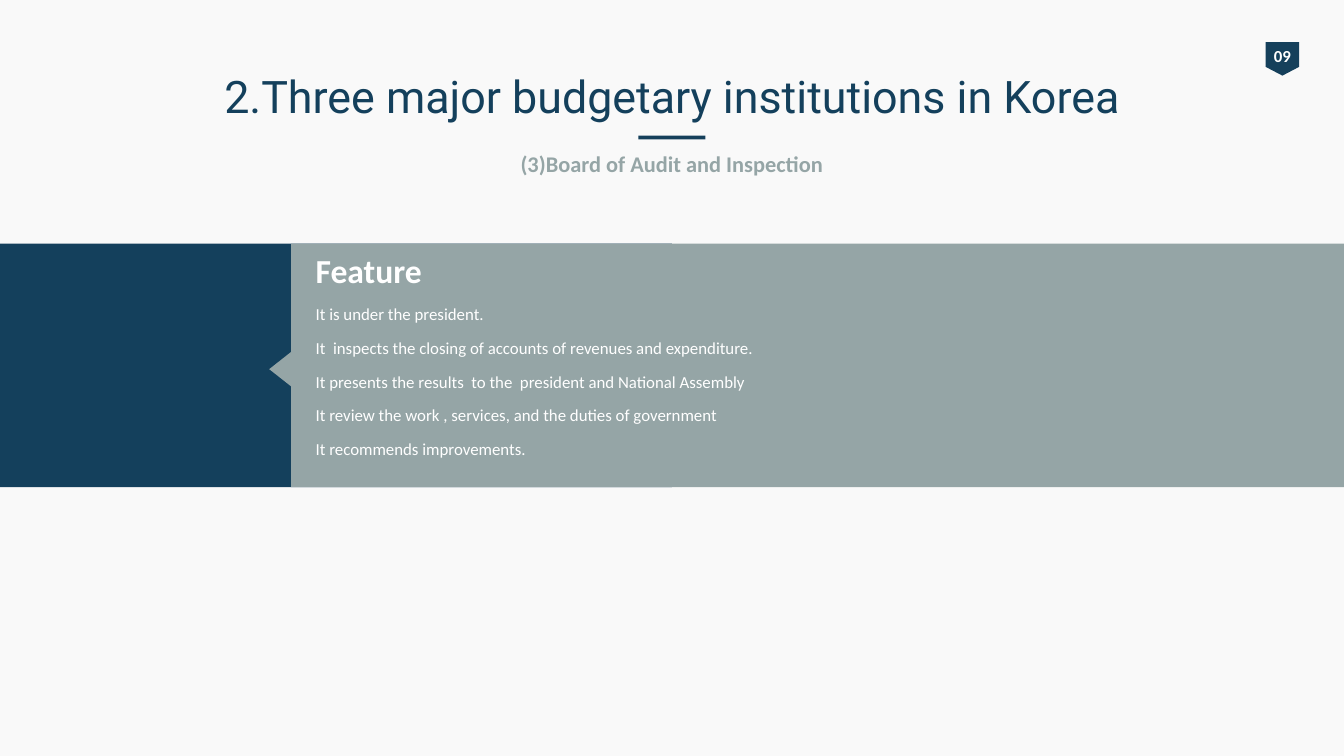
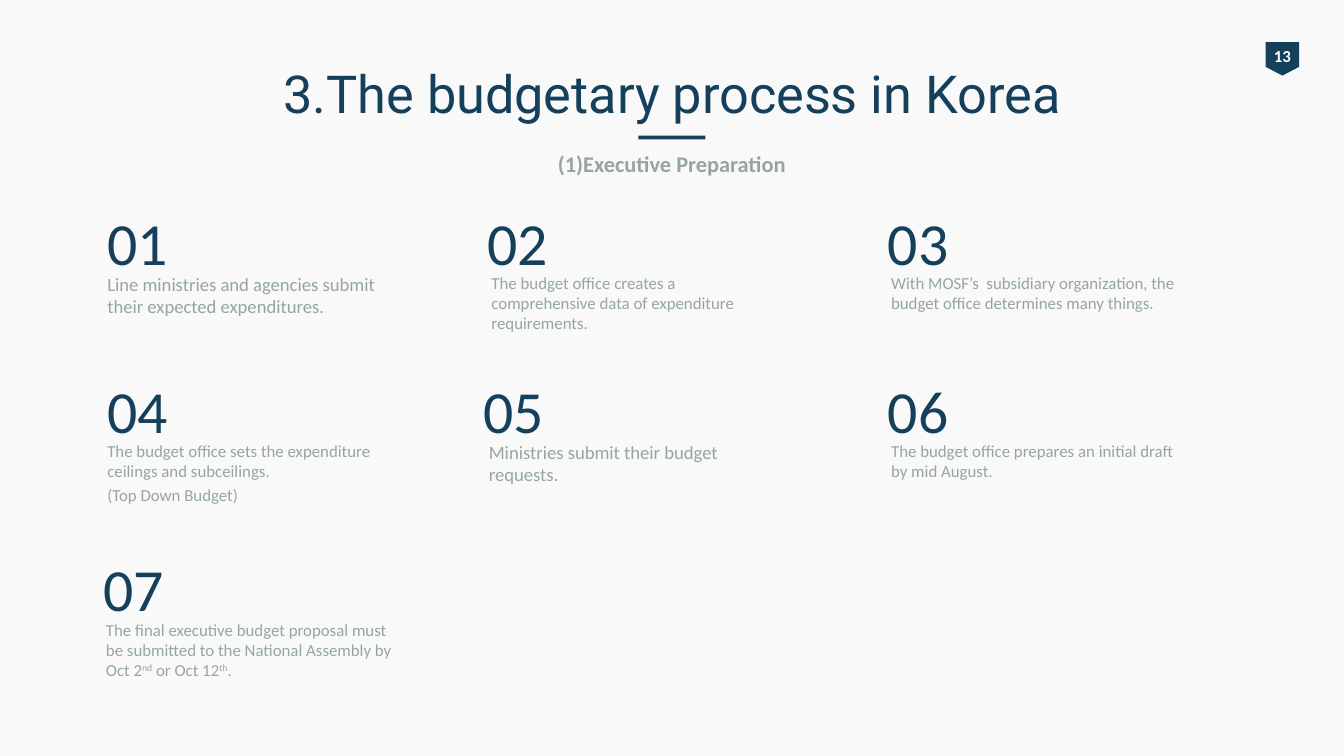
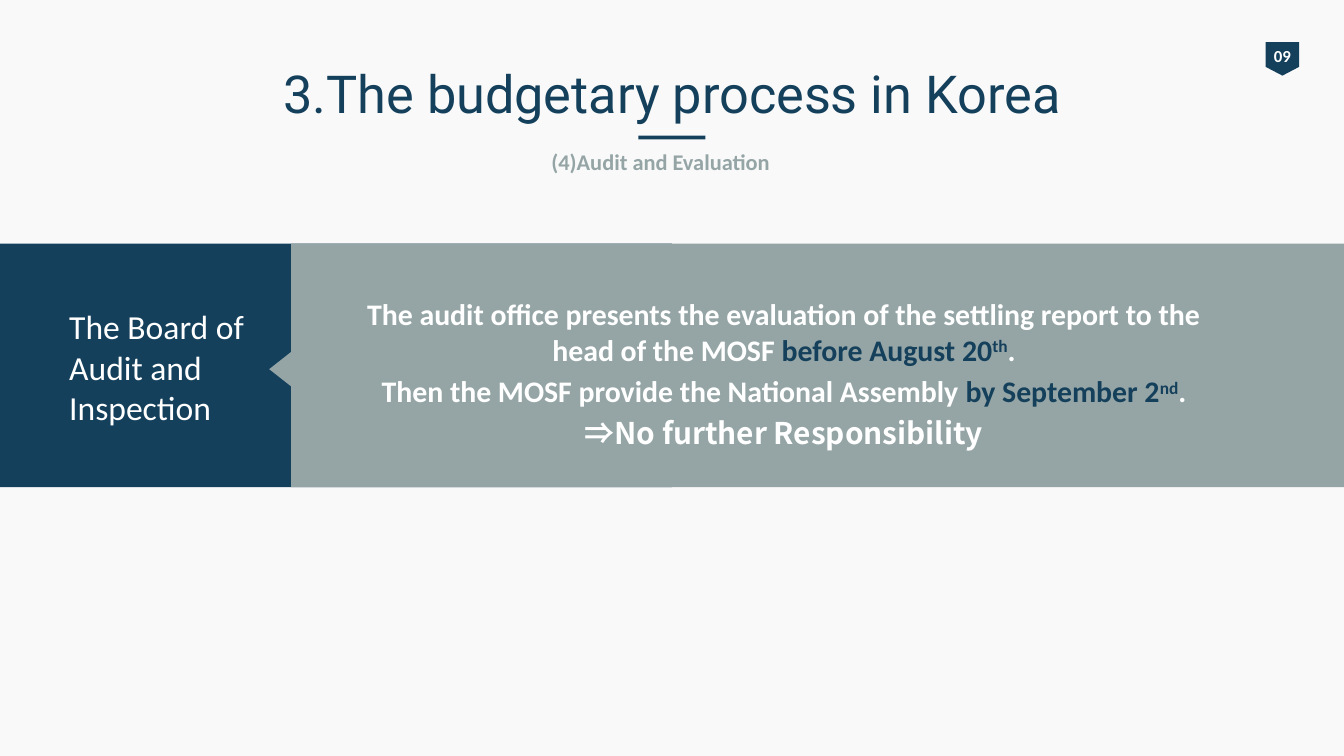
import pptx
import pptx.util
import pptx.dml.color
import pptx.enum.shapes
import pptx.enum.text
from dataclasses import dataclass

Pt = pptx.util.Pt
KIND = pptx.enum.shapes.MSO_SHAPE
ALIGN = pptx.enum.text.PP_ALIGN
ANCHOR = pptx.enum.text.MSO_ANCHOR
FIT = pptx.enum.text.MSO_AUTO_SIZE


@dataclass(frozen=True)
class Theme:
    paper: str = "F9F9F9"
    navy: str = "14405C"
    ink: str = "15405B"
    grey: str = "95A5A6"
    white: str = "FFFFFF"
    body: str = "Calibri"
    head: str = "Roboto"
    asian: str = "Noto Sans CJK KR"
    small: float = 9
    note: float = 10
    sub: float = 12
    lead: float = 16
    large: float = 18
    title: float = 28
    digit: float = 32


T = Theme()


# Shared helpers
def tint(code):
    return pptx.dml.color.RGBColor.from_string(code)


def place(shape, box):
    shape.left, shape.top, shape.width, shape.height = map(Pt, box)


def block(slide, kind, box, color, turn=0):
    shape = slide.shapes.add_shape(kind, *map(Pt, box))
    shape.shadow.inherit = False
    shape.fill.solid()
    shape.fill.fore_color.rgb = tint(color)
    shape.line.fill.background()
    shape.rotation = turn
    return shape


def style(font, size, color, bold=False, face=T.body):
    font.name, font.size, font.bold = face, Pt(size), bold
    font.color.rgb = tint(color)


def write(shape, lines, size, color, bold=False, face=T.body, align=ALIGN.LEFT):
    """Fill a shape with paragraphs, spaced by a fifth of the type size."""
    frame = shape.text_frame
    frame.word_wrap = True
    frame.auto_size = FIT.NONE
    frame.text = "\n".join(lines)
    for i, para in enumerate(frame.paragraphs):
        para.alignment = align
        para.space_before = Pt(size * 0.2 if i else 0)
        for run in para.runs:
            style(run.font, size, color, bold, face)
    return frame


def label(slide, box, lines, *args, **kw):
    return write(slide.shapes.add_textbox(*map(Pt, box)), lines, *args, **kw)


def extend(para, parts, size, bold=False):
    """Append runs of (text, color, raised) to a paragraph."""
    for text, color, raised in parts:
        run = para.add_run()
        run.text = text
        style(run.font, size, color, bold)
        if raised:
            run._r.get_or_add_rPr().set("baseline", "30000")


# Header: title, rule, subtitle and page badge
def header(deck, title, sub, page, size=T.title, shift=0):
    slide = deck.slides.add_slide(deck.slide_layouts[1])
    name, body = slide.placeholders
    place(name, (36, 29, 648, 41))
    frame = write(name, [title], size, T.navy, face=T.head, align=ALIGN.CENTER)
    frame.vertical_anchor = ANCHOR.MIDDLE
    place(body, (36 + shift, 77, 648, 21.6))
    frame = write(body, [sub], T.sub, T.grey, True, align=ALIGN.CENTER)
    props = frame.paragraphs[0]._p.get_or_add_pPr()
    props.set("marL", "0")
    props.set("indent", "0")
    mark = pptx.oxml.parse_xml(
        '<a:buNone xmlns:a="http://schemas.openxmlformats.org/drawingml/2006/main"/>')
    props.append(mark)
    block(slide, KIND.RECTANGLE, (342, 72.7, 36, 2), T.ink)
    badge(slide, (678, 22.5, 18, 18), page)
    return slide


def badge(slide, box, page):
    x, y, w, h = box
    flag = block(slide, KIND.PENTAGON, box, T.ink, 90)
    flag.adjustments[0] = 0.261
    frame = label(slide, (x - 3, y - 1.5, w + 6, h), [page],
                  T.small, T.white, True, align=ALIGN.CENTER)
    frame.word_wrap = False


# Band: navy panel, grey panel and a pointer between them
def band(slide, box):
    x, y, w, h = box
    split = 156
    block(slide, KIND.RECTANGLE, (x, y, w / 2, h), T.navy)
    block(slide, KIND.RECTANGLE, (x + split, y, w - split, h), T.grey)
    block(slide, KIND.ISOSCELES_TRIANGLE, (x + 139.5, y + 59, 26, 16.5), T.grey, 270)


# Numbered steps in rows of three: (left, indent, size, lines)
def steps(slide, rows, items):
    for i, (left, inset, size, lines) in enumerate(items):
        top = rows[i // 3]
        label(slide, (left, top, 179, 24.5), [f"{i + 1:02}"], T.digit, T.ink)
        frame = label(slide, (left + inset, top + 36, 170, 36), lines, size, T.grey)
    return frame


# Slides
BAND = (0, 130.5, 720, 130.5)


def board(deck):
    slide = header(deck, "2.Three major budgetary institutions in Korea",
                   "(3)Board of Audit and Inspection", "09", 24, 0)
    place(slide.shapes.title, (36, 17, 648, 68))
    band(slide, BAND)
    frame = label(slide, (162, BAND[1], 270, 102), [
        "Feature",
        "It is under the president.",
        "It  inspects the closing of accounts of revenues and expenditure.",
        "It presents the results  to the  president and National Assembly",
        "It review the work , services, and the duties of government",
        "It recommends improvements.",
    ], T.small, T.white)
    first, *rest = frame.paragraphs
    style(first.runs[0].font, T.large, T.white, True)
    for para in rest:
        para.line_spacing = 1.5


def process(deck):
    slide = header(deck, "3.The budgetary process in Korea",
                   "(1)Executive Preparation", "13")
    frame = steps(slide, (106.5, 196.5, 292.3), [
        (50.4, 0, T.note, ["Line ministries and agencies submit their expected expenditures."]),
        (254, 2.2, T.small, ["The budget office creates a comprehensive data of "
                             "expenditure requirements."]),
        (468.5, 1.8, T.small, ["With MOSF’s  subsidiary organization, the budget office "
                               "determines many things."]),
        (50.4, 0, T.small, ["The budget office sets the expenditure ceilings and subceilings.",
                            "(Top Down Budget)"]),
        (252, 2.8, T.note, ["Ministries submit their budget requests."]),
        (468.5, 1.8, T.small, ["The budget office prepares an initial draft by mid August."]),
        (48.2, 1.5, T.small, ["The final executive budget proposal must be submitted to the "
                              "National Assembly by Oct 2"]),
    ])
    extend(frame.paragraphs[0], [("nd", T.grey, True), (" or Oct 12", T.grey, False),
                                 ("th", T.grey, True), (".", T.grey, False)], T.small)


def audit(deck):
    slide = header(deck, "3.The budgetary process in Korea",
                   "(4)Audit and Evaluation", "09", shift=-6)
    slide.placeholders[1].top = Pt(76)
    band(slide, BAND)
    frame = label(slide, (174, 154.8, 492, 77), [
        "The audit office presents the evaluation of the settling report to the head of the MOSF ",
        "Then the MOSF provide the National Assembly ",
        "⇒No further Responsibility",
    ], T.lead, T.white, True, align=ALIGN.CENTER)
    dates = [("before August 20", "th"), ("by September 2", "nd")]
    for para, (date, end) in zip(frame.paragraphs, dates):
        extend(para, [(date, T.ink, False), (end, T.ink, True), (".", T.white, False)],
               T.lead, True)
    frame.paragraphs[2].runs[0].font.name = T.asian
    label(slide, (30, 160.5, 120, 73), ["The Board of Audit and Inspection"],
          T.large, T.white)


def main():
    deck = pptx.Presentation()
    deck.slide_width, deck.slide_height = Pt(720), Pt(405)
    fill = deck.slide_master.background.fill
    fill.solid()
    fill.fore_color.rgb = tint(T.paper)
    board(deck)
    process(deck)
    audit(deck)
    deck.save("out.pptx")


if __name__ == "__main__":
    main()
